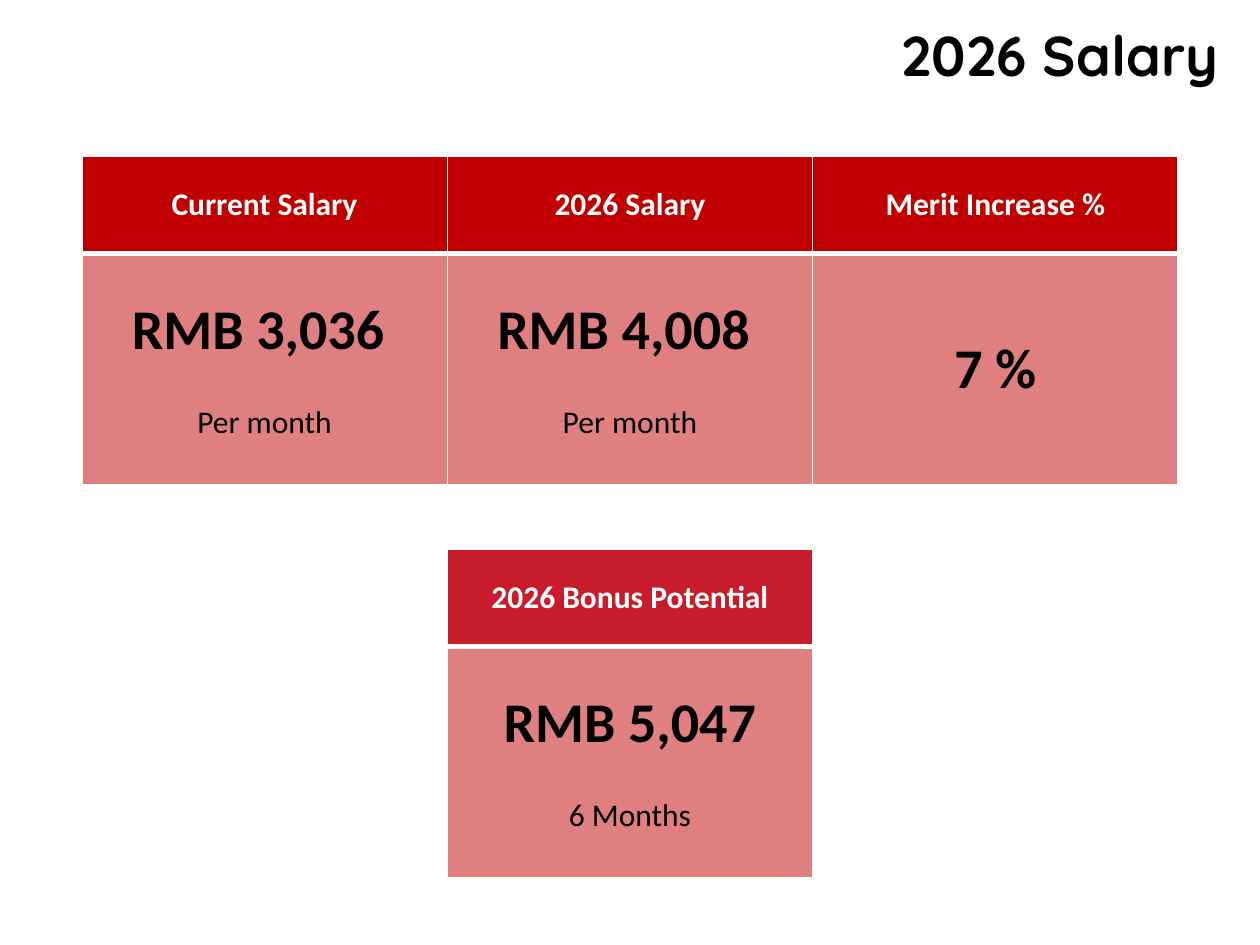
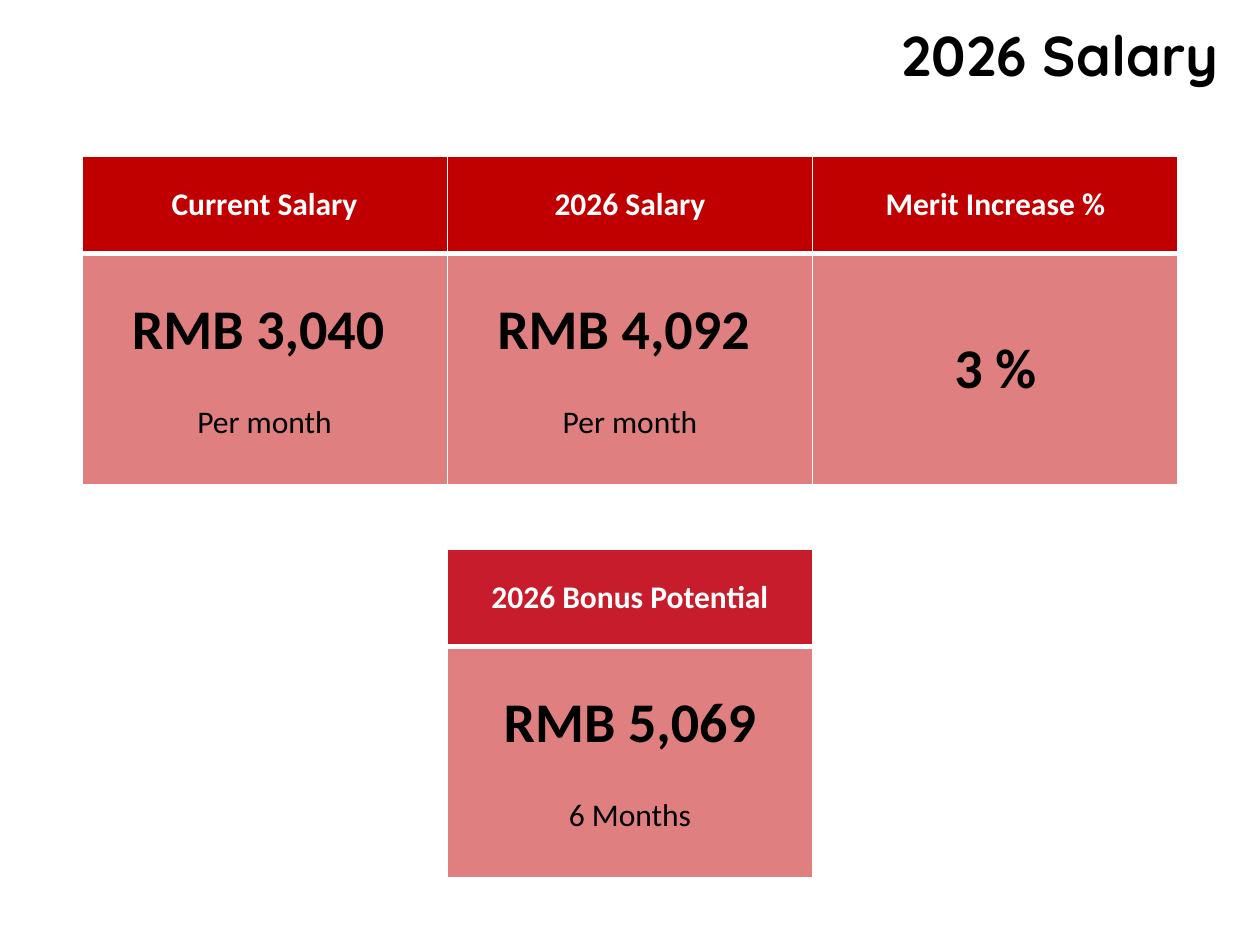
from lxml import etree
from pptx import Presentation
from pptx.dml.color import RGBColor
from pptx.enum.text import MSO_ANCHOR, PP_ALIGN
from pptx.oxml.ns import qn
from pptx.util import Inches, Pt

CENTER, RIGHT = PP_ALIGN.CENTER, PP_ALIGN.RIGHT
MIDDLE = MSO_ANCHOR.MIDDLE

WHITE, BLACK = "FFFFFF", "000000"
RED, CRIMSON, ROSE = "C00000", "C61C2B", "DF7F7F"
TITLE_FONT, BODY_FONT = "Quicksand", "Calibri"
BIG, SMALL = 32, 18

CARD_WIDTH, HEADER_HEIGHT, VALUE_HEIGHT = 2.9, 0.77, 1.84
CARD_LEFT, SALARY_TOP, BONUS_TOP = 0.65, 1.24, 4.36

# current salary, new salary, merit increase, bonus potential
EMPLOYEES = [
    ("RMB 3,036 ", "RMB 4,008 ", "7 %", "RMB 5,047"),
    ("RMB 3,040 ", "RMB 4,092 ", "3 %", "RMB 5,069"),
]


def color(hex_code):
    return RGBColor.from_string(hex_code)


class SalaryDeck:
    def __init__(self):
        self.presentation = Presentation()
        self.presentation.slide_width = Inches(10)
        self.presentation.slide_height = Inches(7.5)
        self.slide = None

    def new_slide(self, title):
        blank = self.presentation.slide_layouts[6]
        self.slide = self.presentation.slides.add_slide(blank)
        heading = self.slide.shapes.add_textbox(
            Inches(3.51), Inches(0.11), Inches(6.26), Inches(1.11))
        heading.text_frame.word_wrap = True
        self.set_text(heading.text_frame.paragraphs[0], title, BIG, BLACK,
                      font=TITLE_FONT, align=RIGHT)

    def set_text(self, paragraph, text, size, text_color, bold=True,
                 font=BODY_FONT, align=CENTER):
        paragraph.text = text
        paragraph.alignment = align
        paragraph.font.size = Pt(size)
        paragraph.font.bold = bold
        paragraph.font.name = font
        paragraph.font.color.rgb = color(text_color)

    def fill(self, cell, fill_color, opacity=100):
        cell.vertical_anchor = MIDDLE
        cell.fill.solid()
        cell.fill.fore_color.rgb = color(fill_color)
        if opacity < 100:
            solid = cell._tc.tcPr.find(qn("a:solidFill"))
            etree.SubElement(solid[0], qn("a:alpha"), val=str(opacity * 1000))

    def border(self, cell, top=1, bottom=1):
        """Draw white borders; widths are in points."""
        widths = {"L": 1, "R": 1, "T": top, "B": bottom}
        for position, (side, width) in enumerate(widths.items()):
            line = etree.Element(qn(f"a:ln{side}"), w=str(Pt(width)))
            solid = etree.SubElement(line, qn("a:solidFill"))
            etree.SubElement(solid, qn("a:srgbClr"), val=WHITE)
            cell._tc.tcPr.insert(position, line)

    def card(self, column, top, label, value, period=None,
             header_color=RED, value_color=RED, opacity=50):
        """Place a two-row table in one of the three columns."""
        table = self.slide.shapes.add_table(
            2, 1, Inches(CARD_LEFT + column * CARD_WIDTH), Inches(top),
            Inches(CARD_WIDTH), Inches(HEADER_HEIGHT + VALUE_HEIGHT)).table
        for row, height in zip(table.rows, (HEADER_HEIGHT, VALUE_HEIGHT)):
            row.height = Inches(height)
        header, body = table.cell(0, 0), table.cell(1, 0)
        self.fill(header, header_color)
        self.border(header, bottom=3)
        self.fill(body, value_color, opacity)
        self.border(body, top=3)
        self.set_text(header.text_frame.paragraphs[0], label, SMALL, WHITE)
        self.set_text(body.text_frame.paragraphs[0], value, BIG, BLACK)
        if period:
            note = body.text_frame.add_paragraph()
            note.space_before = Pt(22)
            self.set_text(note, period, SMALL, BLACK, bold=False)


def main():
    deck = SalaryDeck()
    for current, upcoming, increase, bonus in EMPLOYEES:
        deck.new_slide("2026 Salary")
        deck.card(0, SALARY_TOP, "Current Salary", current, "Per month")
        deck.card(1, BONUS_TOP, "2026 Bonus Potential", bonus, "6 Months",
                  header_color=CRIMSON, value_color=ROSE, opacity=100)
        deck.card(1, SALARY_TOP, "2026 Salary", upcoming, "Per month")
        deck.card(2, SALARY_TOP, "Merit Increase %", increase)
    deck.presentation.save("out.pptx")


if __name__ == "__main__":
    main()
